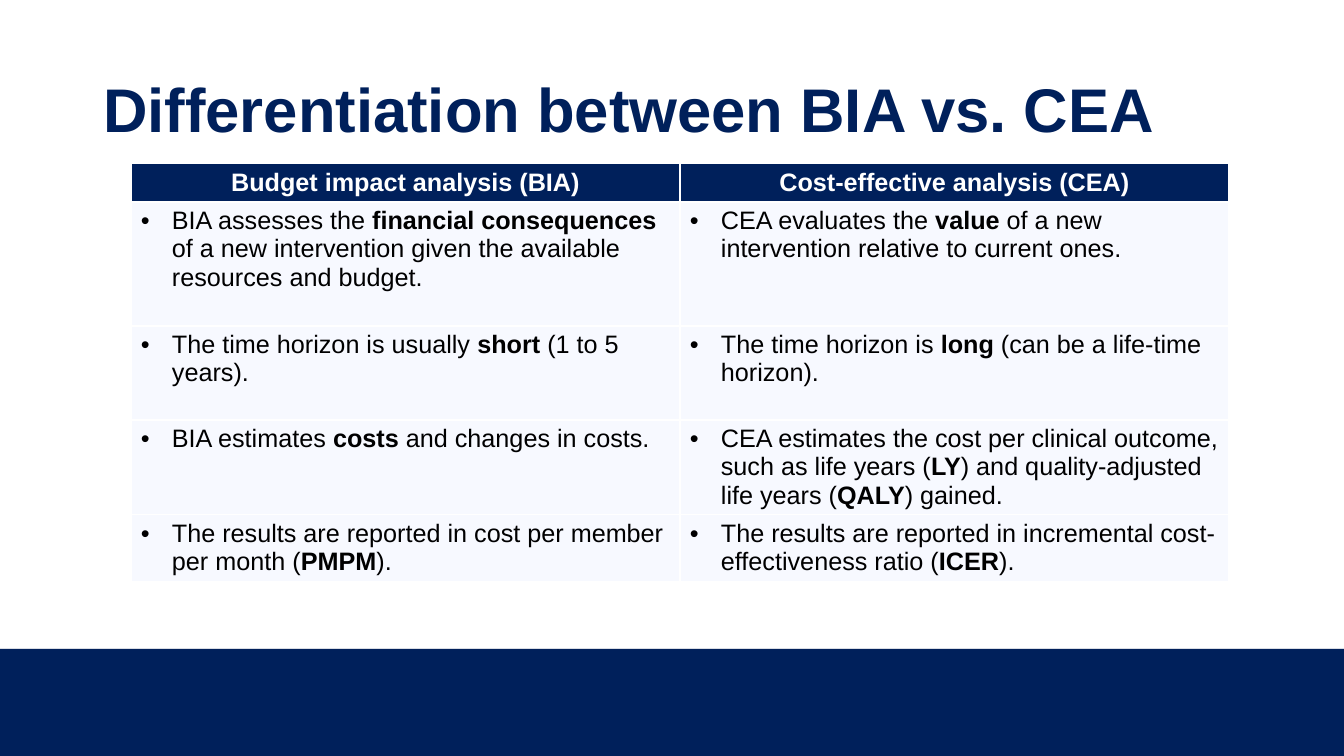
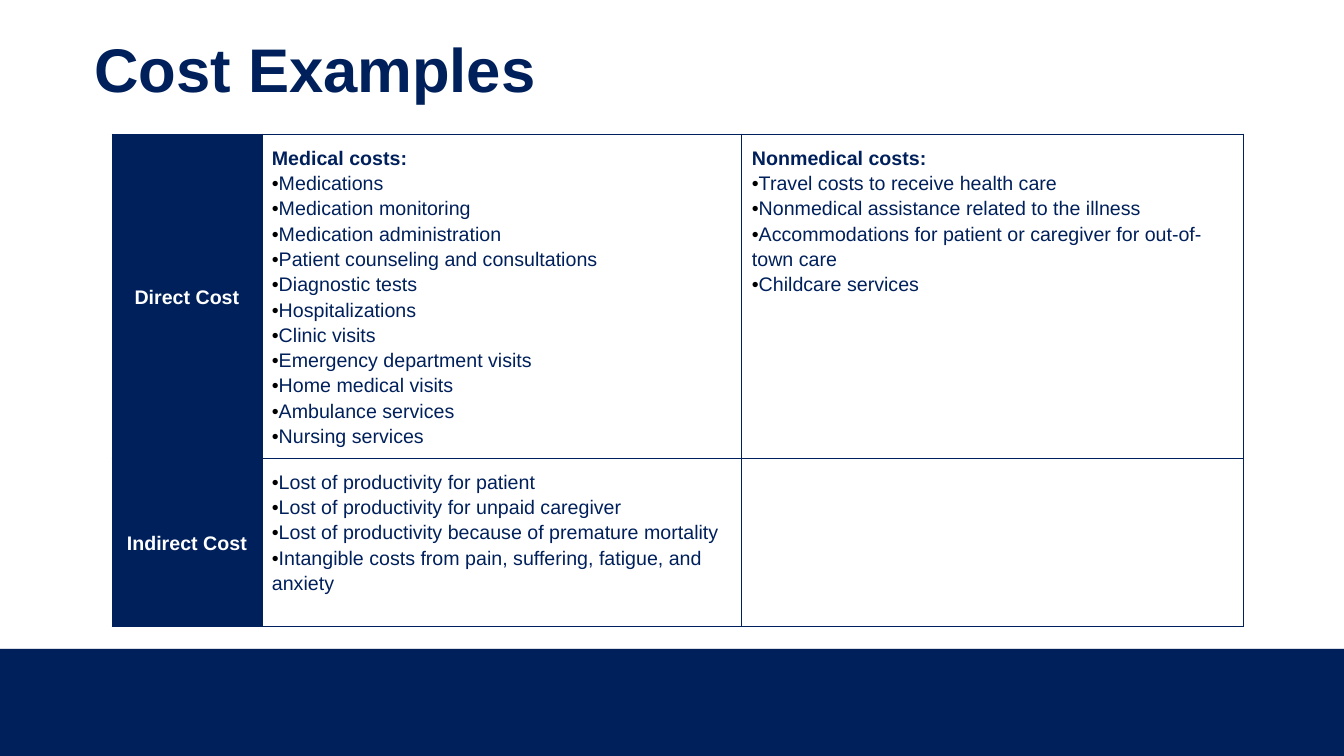
"""Build two slides that compare budget impact with cost-effectiveness and list cost examples."""
from dataclasses import dataclass

from lxml import etree
from pptx import Presentation
from pptx import util as u
from pptx.dml.color import RGBColor
from pptx.enum import shapes, text
from pptx.oxml import ns


@dataclass(frozen=True)
class Theme:
    font: str = "Arial"
    navy: str = "00205B"
    white: str = "FFFFFF"
    black: str = "000000"
    pale: str = "F7F9FF"
    edge: str = "F8F8F8"
    title_size: int = 44
    comparison_size: int = 18
    example_size: int = 14


THEME = Theme()
SLIDE_WIDTH, SLIDE_HEIGHT = 1344, 756

COMPARISON = [
    ["Budget impact analysis (BIA)", "Cost-effective analysis (CEA)"],
    ["•BIA assesses the **financial consequences** of a new intervention "
     "given the available resources and budget.",
     "•CEA evaluates the **value** of a new intervention relative to current ones."],
    ["•The time horizon is usually **short** (1 to 5 years).",
     "•The time horizon is **long** (can be a life-time horizon)."],
    ["•BIA estimates **costs** and changes in costs.",
     "•CEA estimates the cost per clinical outcome, such as life years (**LY**) "
     "and quality-adjusted life years (**QALY**) gained."],
    ["•The results are reported in cost per member per month (**PMPM**).",
     "•The results are reported in incremental cost-effectiveness ratio (**ICER**)."],
]

MEDICAL = """**Medical costs:**
•Medications
•Medication monitoring
•Medication administration
•Patient counseling and consultations
•Diagnostic tests
•Hospitalizations
•Clinic visits
•Emergency department visits
•Home medical visits
•Ambulance services
•Nursing services"""

NONMEDICAL = """**Nonmedical costs:**
•Travel costs to receive health care
•Nonmedical assistance related to the illness
•Accommodations for patient or caregiver for out-of-town care
•Childcare services"""

INDIRECT = """•Lost of productivity for patient
•Lost of productivity for unpaid caregiver
•Lost of productivity because of premature mortality
•Intangible costs from pain, suffering, fatigue, and anxiety"""

EXAMPLES = [["Direct Cost", MEDICAL, NONMEDICAL], ["Indirect Cost", INDIRECT, ""]]


def px(count):
    return u.Emu(round(count * 914400 / 100.8))


def rgb(color):
    return RGBColor.from_string(color)


def add_child(parent, tag, **attributes):
    return etree.SubElement(parent, ns.qn(tag), **attributes)


def add_bullet(paragraph, indent):
    properties = paragraph._p.get_or_add_pPr()
    properties.set("marL", str(px(indent)))
    properties.set("indent", str(-px(indent)))
    add_child(add_child(properties, "a:buClr"), "a:srgbClr", val=THEME.black)
    add_child(properties, "a:buFont", typeface=THEME.font)
    add_child(properties, "a:buChar", char="•")


def write(frame, content, *, size, color, bold=False, align=text.PP_ALIGN.LEFT,
          spacing=1.0, indent=0):
    for index, line in enumerate(content.split("\n")):
        paragraph = frame.add_paragraph() if index else frame.paragraphs[0]
        paragraph.alignment = align
        paragraph.line_spacing = spacing
        if line.startswith("•"):
            add_bullet(paragraph, indent)
        for part, words in enumerate(line.removeprefix("•").split("**")):
            if words:
                run = paragraph.add_run()
                run.text = words
                run.font.name = THEME.font
                run.font.size = u.Pt(size)
                run.font.bold = bold or part % 2 == 1
                run.font.color.rgb = rgb(color)


def add_master_band(prs, slide, top, color, order):
    band = slide.shapes.add_shape(shapes.MSO_SHAPE.RECTANGLE, 0, px(top),
                                  px(SLIDE_WIDTH), px(SLIDE_HEIGHT - top))
    band.shadow.inherit = False
    band.fill.solid()
    band.fill.fore_color.rgb = rgb(color)
    band.line.fill.background()
    band.element.nvSpPr.cNvPr.set("id", str(20 + order))
    prs.slide_master.shapes.element.insert(2 + order, band.element)


def add_titled_slide(prs, heading, left, top):
    slide = prs.slides.add_slide(prs.slide_layouts[5])
    title = slide.shapes.title
    title.left, title.top, title.width, title.height = map(px, (left, top, 1159, 146))
    frame = title.text_frame
    frame.auto_size = text.MSO_AUTO_SIZE.NONE
    frame.word_wrap = True
    frame.vertical_anchor = text.MSO_ANCHOR.MIDDLE
    write(frame, heading, size=THEME.title_size, color=THEME.navy, bold=True, spacing=0.9)
    return slide


def set_borders(cell, color, width):
    properties = cell._tc.get_or_add_tcPr()
    for order, side in enumerate(("a:lnL", "a:lnR", "a:lnT", "a:lnB")):
        line = etree.Element(ns.qn(side), w=str(u.Pt(width)))
        add_child(add_child(line, "a:solidFill"), "a:srgbClr", val=color)
        properties.insert(order, line)


def add_grid(slide, rows, *, left, top, widths, heights, is_head, size, body_color,
             body_fill, border, padding, spacing=1.0, indent=0):
    table = slide.shapes.add_table(len(rows), len(widths), px(left), px(top),
                                   px(sum(widths)), px(sum(heights))).table
    table.first_row = table.horz_banding = False
    for column, width in zip(table.columns, widths):
        column.width = px(width)
    for r, (row, height) in enumerate(zip(rows, heights)):
        table.rows[r].height = px(height)
        for c, content in enumerate(row):
            cell = table.cell(r, c)
            head = is_head(r, c)
            cell.fill.solid()
            cell.fill.fore_color.rgb = rgb(THEME.navy if head else body_fill)
            cell.margin_left = cell.margin_right = px(10)
            cell.margin_top = cell.margin_bottom = px(padding)
            cell.vertical_anchor = text.MSO_ANCHOR.MIDDLE if head else text.MSO_ANCHOR.TOP
            set_borders(cell, *border)
            write(cell.text_frame, content, size=size, bold=head, spacing=spacing,
                  indent=indent, color=THEME.white if head else body_color,
                  align=text.PP_ALIGN.CENTER if head else text.PP_ALIGN.LEFT)


def main():
    prs = Presentation()
    prs.slide_width, prs.slide_height = px(SLIDE_WIDTH), px(SLIDE_HEIGHT)

    comparison = add_titled_slide(prs, "Differentiation between BIA vs. CEA", 93, 40)
    add_master_band(prs, comparison, 648, THEME.edge, 0)
    add_master_band(prs, comparison, 649, THEME.navy, 1)
    add_grid(comparison, COMPARISON, left=131, top=163, widths=[549, 549],
             heights=[39, 124, 94, 95, 67], is_head=lambda r, c: r == 0,
             size=THEME.comparison_size, body_color=THEME.black, body_fill=THEME.pale,
             border=(THEME.white, 1), padding=5, indent=31)

    examples = add_titled_slide(prs, "Cost Examples", 84, 0)
    add_grid(examples, EXAMPLES, left=112, top=134, widths=[150, 480, 502],
             heights=[324, 168], is_head=lambda r, c: c == 0,
             size=THEME.example_size, body_color=THEME.navy, body_fill=THEME.white,
             border=(THEME.navy, 0.75), padding=10, spacing=1.15)

    prs.save("out.pptx")


if __name__ == "__main__":
    main()
